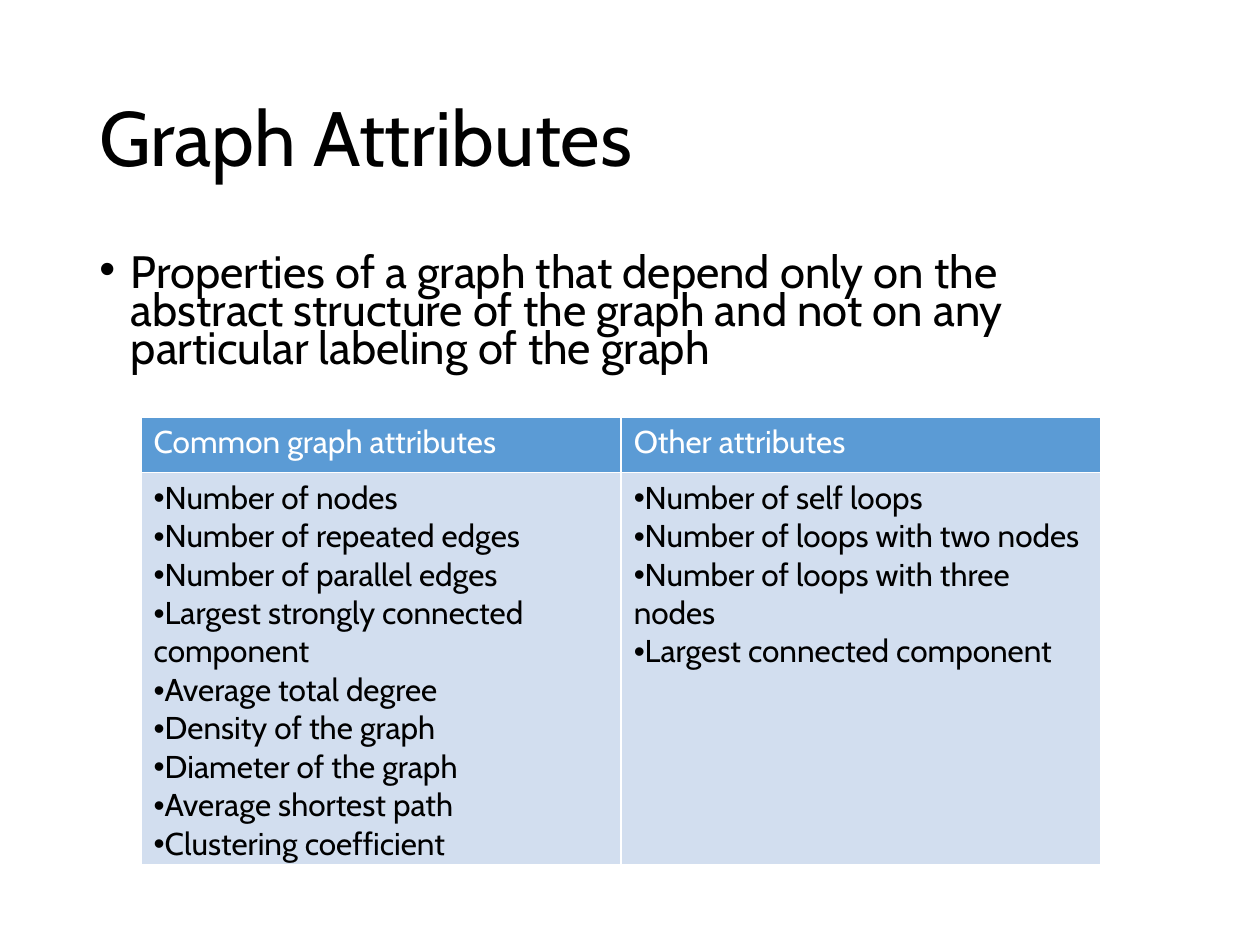
from lxml import etree
from pptx import Presentation
from pptx import util as u
from pptx.dml.color import RGBColor
from pptx.enum import text
from pptx.oxml import ns

BLACK = RGBColor(0x00, 0x00, 0x00)
WHITE = RGBColor(0xFF, 0xFF, 0xFF)
HEADER_BLUE = RGBColor(0x5B, 0x9B, 0xD5)
BODY_BLUE = RGBColor(0xD2, 0xDE, 0xEF)

FONT = "Cabin"
ATTRIBUTES = {
    "Common graph attributes": [
        "Number of nodes",
        "Number of repeated edges",
        "Number of parallel edges",
        "Largest strongly connected component",
        "Average total degree",
        "Density of the graph",
        "Diameter of the graph",
        "Average shortest path",
        "Clustering coefficient",
    ],
    "Other attributes": [
        "Number of self loops",
        "Number of loops with two nodes",
        "Number of loops with three nodes",
        "Largest connected component",
    ],
}


def add_bullet(paragraph, indent=0):
    """Give the paragraph a round bullet with a hanging indent."""
    properties = paragraph._p.get_or_add_pPr()
    properties.set("marL", str(u.Inches(indent)))
    properties.set("indent", str(-u.Inches(indent)))
    etree.SubElement(properties, ns.qn("a:buFont"), typeface="Arial")
    etree.SubElement(properties, ns.qn("a:buChar"), char="•")


def write_paragraph(paragraph, wording, size, color, **spacing):
    paragraph.text = wording
    for name, value in spacing.items():
        setattr(paragraph, name, value)
    for name, value in {"name": FONT, "size": u.Pt(size)}.items():
        setattr(paragraph.font, name, value)
    paragraph.font.color.rgb = color


def add_text_box(slide, box, anchor):
    """Add a wrapping text box and return its first paragraph."""
    frame = slide.shapes.add_textbox(*map(u.Inches, box)).text_frame
    for name, value in {"word_wrap": True, "vertical_anchor": anchor}.items():
        setattr(frame, name, value)
    return frame.paragraphs[0]


def add_title(slide, box):
    paragraph = add_text_box(slide, box, text.MSO_ANCHOR.MIDDLE)
    write_paragraph(paragraph, "Graph Attributes", 44, BLACK, line_spacing=0.9)


def add_definition(slide, box):
    paragraph = add_text_box(slide, box, text.MSO_ANCHOR.TOP)
    add_bullet(paragraph, 0.25)
    wording = ("Properties of a graph that depend only on the abstract structure "
               "of the graph and not on any particular labeling of the graph")
    write_paragraph(paragraph, wording, 25.9, BLACK, line_spacing=0.7)


def add_borders(cell, color, width):
    properties = cell._tc.get_or_add_tcPr()
    for side in "LRTB":
        line = etree.SubElement(properties, ns.qn(f"a:ln{side}"), w=str(u.Pt(width)))
        fill = etree.SubElement(line, ns.qn("a:solidFill"))
        etree.SubElement(fill, ns.qn("a:srgbClr"), val=str(color))


def fill_cell(cell, lines, fill, color, bulleted=False):
    add_borders(cell, WHITE, 1)
    cell.fill.solid()
    cell.fill.fore_color.rgb = fill
    frame = cell.text_frame
    for index, wording in enumerate(lines):
        paragraph = frame.add_paragraph() if index else frame.paragraphs[0]
        if bulleted:
            add_bullet(paragraph)
        write_paragraph(paragraph, wording, 18, color)


def add_attribute_table(slide, box, header_height=0.44):
    left, top, width, height = map(u.Inches, box)
    table = slide.shapes.add_table(2, len(ATTRIBUTES), left, top, width, height).table
    table.rows[0].height = u.Inches(header_height)
    table.rows[1].height = height - u.Inches(header_height)
    for column, (heading, items) in enumerate(ATTRIBUTES.items()):
        fill_cell(table.cell(0, column), [heading], HEADER_BLUE, WHITE)
        fill_cell(table.cell(1, column), items, BODY_BLUE, BLACK, bulleted=True)


def main():
    presentation = Presentation()
    presentation.slide_width = u.Inches(10)
    presentation.slide_height = u.Inches(7.5)
    slide = presentation.slides.add_slide(presentation.slide_layouts[6])
    add_title(slide, (0.69, 0.4, 8.62, 1.45))
    add_definition(slide, (0.69, 2, 8.62, 1.08))
    add_attribute_table(slide, (1.12, 3.31, 7.62, 3.55))
    presentation.save("out.pptx")


if __name__ == "__main__":
    main()
